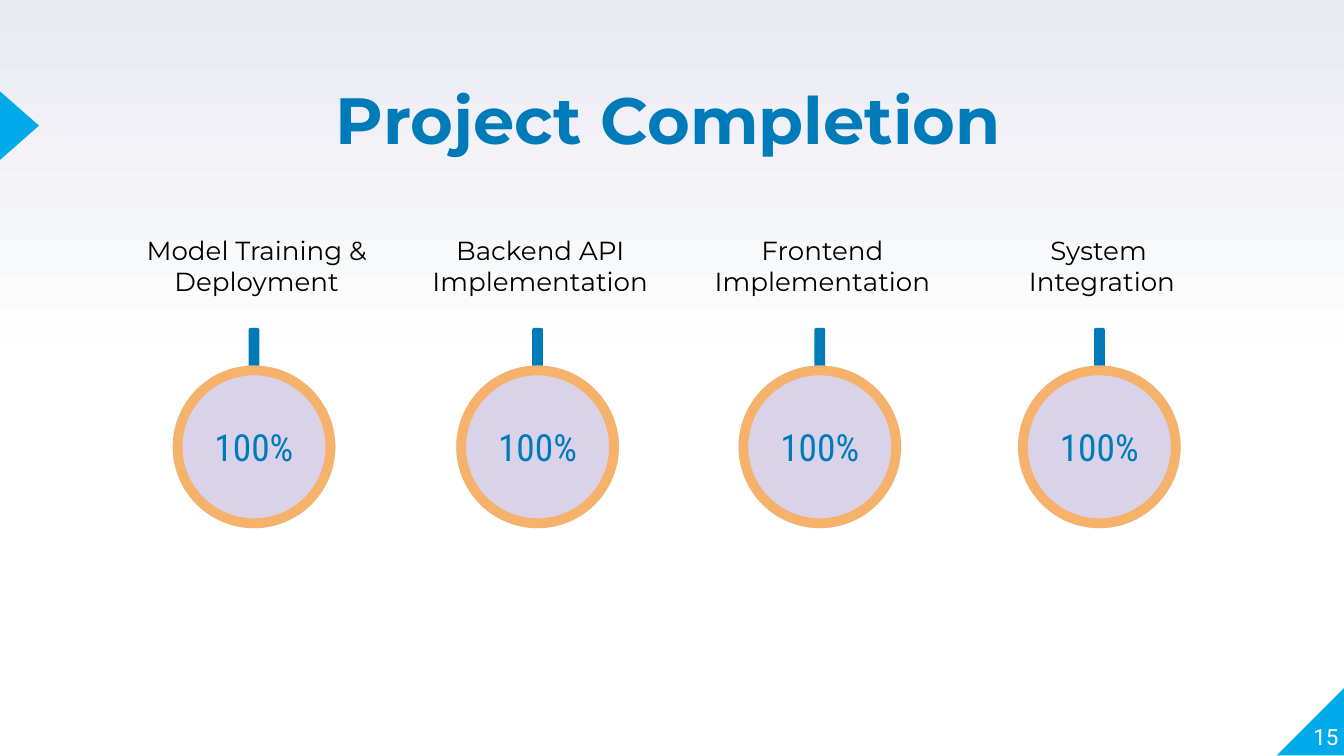
"""Build the project completion slide with four finished milestones."""
from copy import deepcopy

from pptx import Presentation
from pptx.dml.color import RGBColor
from pptx.enum.shapes import MSO_SHAPE
from pptx.enum.text import MSO_ANCHOR, PP_ALIGN
from pptx.oxml.ns import qn
from pptx.util import Inches, Pt

WHITE = RGBColor(0xFF, 0xFF, 0xFF)
BLACK = RGBColor(0x00, 0x00, 0x00)
MIST = RGBColor(0xE9, 0xEA, 0xF2)
SKY = RGBColor(0x01, 0xAA, 0xEA)
BLUE = RGBColor(0x00, 0x7B, 0xB9)
LILAC = RGBColor(0xD9, 0xD2, 0xE9)
ORANGE = RGBColor(0xF6, 0xB2, 0x6B)

TITLE = "Project Completion"
PAGE_NUMBER = "15"
MILESTONES = [
    (1.89, "Model Training &\nDeployment", "100%"),
    (4.0, "Backend API\nImplementation", "100%"),
    (6.1, "Frontend\vImplementation", "100%"),
    (8.18, "System \vIntegration", "100%"),
]

TITLE_FONT = {"name": "Montserrat", "size": Pt(35), "bold": True}
LABEL_FONT = {"name": "Montserrat", "size": Pt(14)}
PERCENT_FONT = {"name": "Roboto Condensed", "size": Pt(20)}
NUMBER_FONT = {"name": "Roboto", "size": Pt(12)}

SLIDE_WIDTH = Inches(10)
SLIDE_HEIGHT = SLIDE_WIDTH * 9 // 16
DIAL_TOP, DIAL_SIZE = 2.72, 1.21
STEM_TOP, STEM_WIDTH, STEM_HEIGHT = 2.44, 0.08, 0.42
PERCENT_TOP, PERCENT_WIDTH, PERCENT_HEIGHT = 3.08, 1.26, 0.49
LABEL_TOP, LABEL_WIDTH, LABEL_HEIGHT, LABEL_SHIFT = 1.64, 2.21, 0.65, 0.02


def add_shape(slide, kind, box, color, adjustment=None, rotation=0):
    shape = slide.shapes.add_shape(kind, *map(Inches, box))
    shape.shadow.inherit = False
    shape.fill.solid()
    shape.fill.fore_color.rgb = color
    shape.line.fill.background()
    shape.rotation = rotation
    if adjustment is not None:
        shape.adjustments[0] = adjustment
    return shape


def add_text(slide, text, box, font_values, color, anchor=MSO_ANCHOR.TOP,
             alignment=PP_ALIGN.CENTER, inset=0.1):
    frame = slide.shapes.add_textbox(*map(Inches, box)).text_frame
    frame.word_wrap = True
    frame.vertical_anchor = anchor
    for side in ("left", "top", "right", "bottom"):
        setattr(frame, f"margin_{side}", Inches(inset))
    frame.text = text
    for paragraph in frame.paragraphs:
        paragraph.alignment = alignment
        for run in paragraph.runs:
            for name, value in font_values.items():
                setattr(run.font, name, value)
            run.font.color.rgb = color


def set_background(slide):
    fill = slide.background.fill
    fill.gradient()
    fill.gradient_angle = 90
    for stop, color in zip(fill.gradient_stops, (WHITE, MIST)):
        stop.color.rgb = color
    stop_list = next(slide.element.iter(qn("a:gsLst")))
    stop_list.insert(0, deepcopy(stop_list[0]))
    for stop, position in zip(fill.gradient_stops, (0, 0.5, 1)):
        stop.position = position


def add_milestone(slide, center, label, percent):
    dial = (center - DIAL_SIZE / 2, DIAL_TOP, DIAL_SIZE, DIAL_SIZE)
    stem = (center - STEM_WIDTH / 2, STEM_TOP, STEM_WIDTH, STEM_HEIGHT)
    percent_box = (center - PERCENT_WIDTH / 2, PERCENT_TOP,
                   PERCENT_WIDTH, PERCENT_HEIGHT)
    label_box = (center + LABEL_SHIFT - LABEL_WIDTH / 2, LABEL_TOP,
                 LABEL_WIDTH, LABEL_HEIGHT)
    add_shape(slide, MSO_SHAPE.ROUNDED_RECTANGLE, stem, BLUE, 0.17)
    add_shape(slide, MSO_SHAPE.OVAL, dial, LILAC, rotation=180)
    add_text(slide, percent, percent_box, PERCENT_FONT, BLUE, MSO_ANCHOR.MIDDLE)
    add_shape(slide, MSO_SHAPE.DONUT, dial, ORANGE, 0.06)
    add_text(slide, label, label_box, LABEL_FONT, BLACK)


def main():
    presentation = Presentation()
    presentation.slide_width = SLIDE_WIDTH
    presentation.slide_height = SLIDE_HEIGHT
    slide = presentation.slides.add_slide(presentation.slide_layouts[6])
    set_background(slide)

    corner = add_shape(slide, MSO_SHAPE.RIGHT_TRIANGLE, (9.5, 5.11, 0.51, 0.51), SKY)
    corner.element.spPr.find(qn("a:xfrm")).set("flipH", "1")
    add_shape(slide, MSO_SHAPE.ISOSCELES_TRIANGLE, (-0.11, 0.79, 0.51, 0.29),
              SKY, rotation=90)
    add_text(slide, PAGE_NUMBER, (9.46, 5.07, 0.5, 0.51), NUMBER_FONT, WHITE,
             MSO_ANCHOR.BOTTOM, PP_ALIGN.RIGHT, 0)
    add_text(slide, TITLE, (1.64, 0.49, 6.67, 0.91), TITLE_FONT, BLUE)

    for center, label, percent in MILESTONES:
        add_milestone(slide, center, label, percent)

    presentation.save("out.pptx")


if __name__ == "__main__":
    main()
